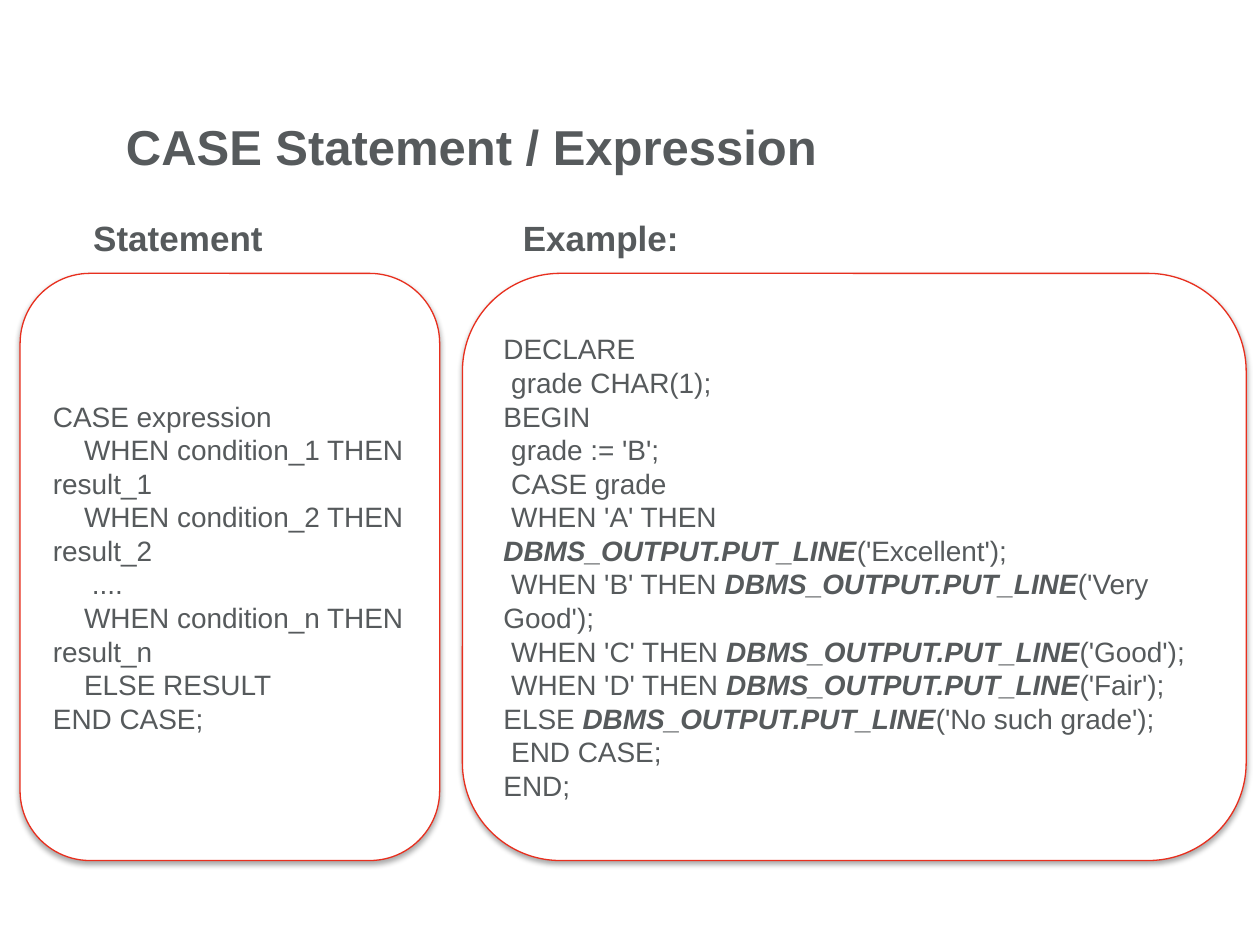
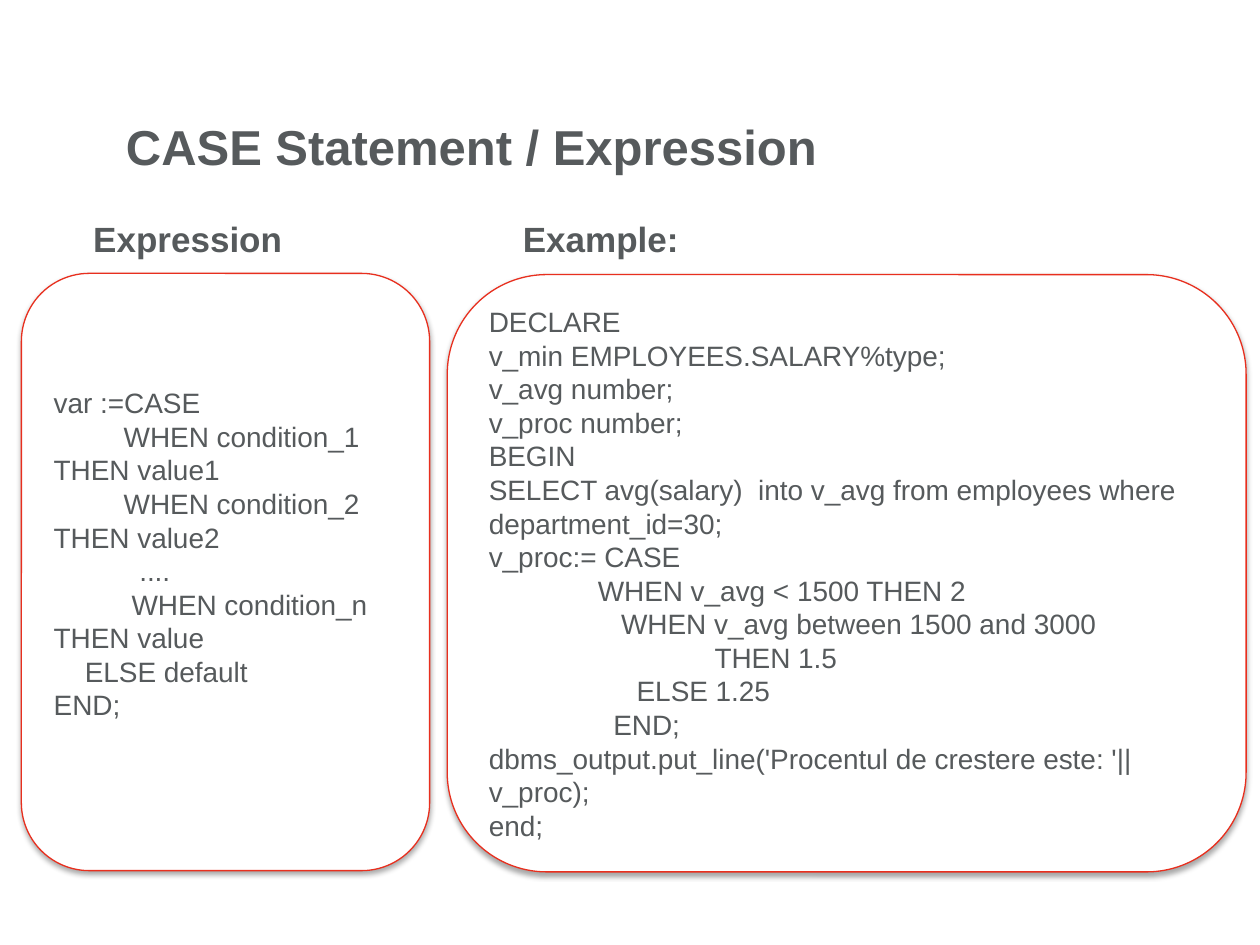
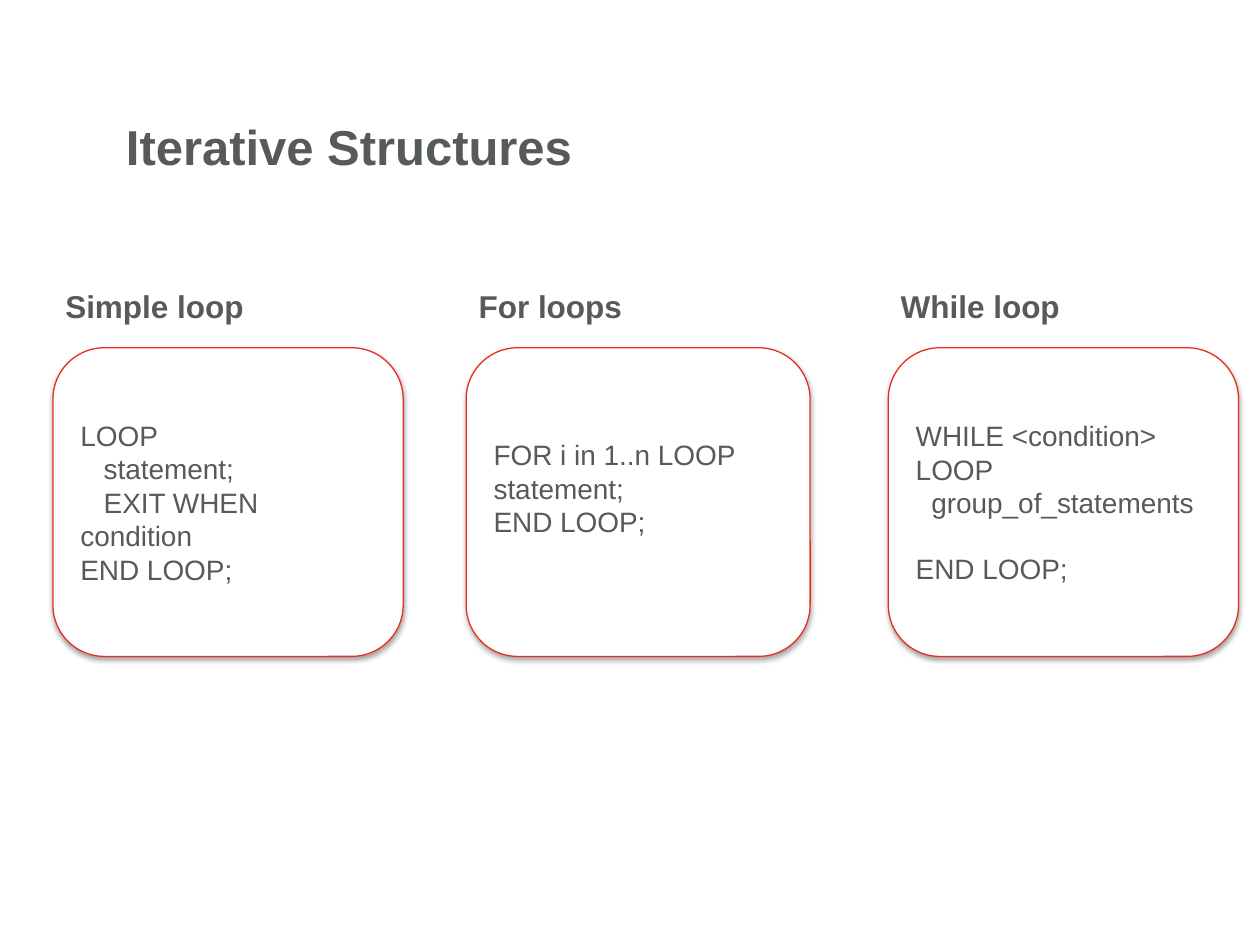
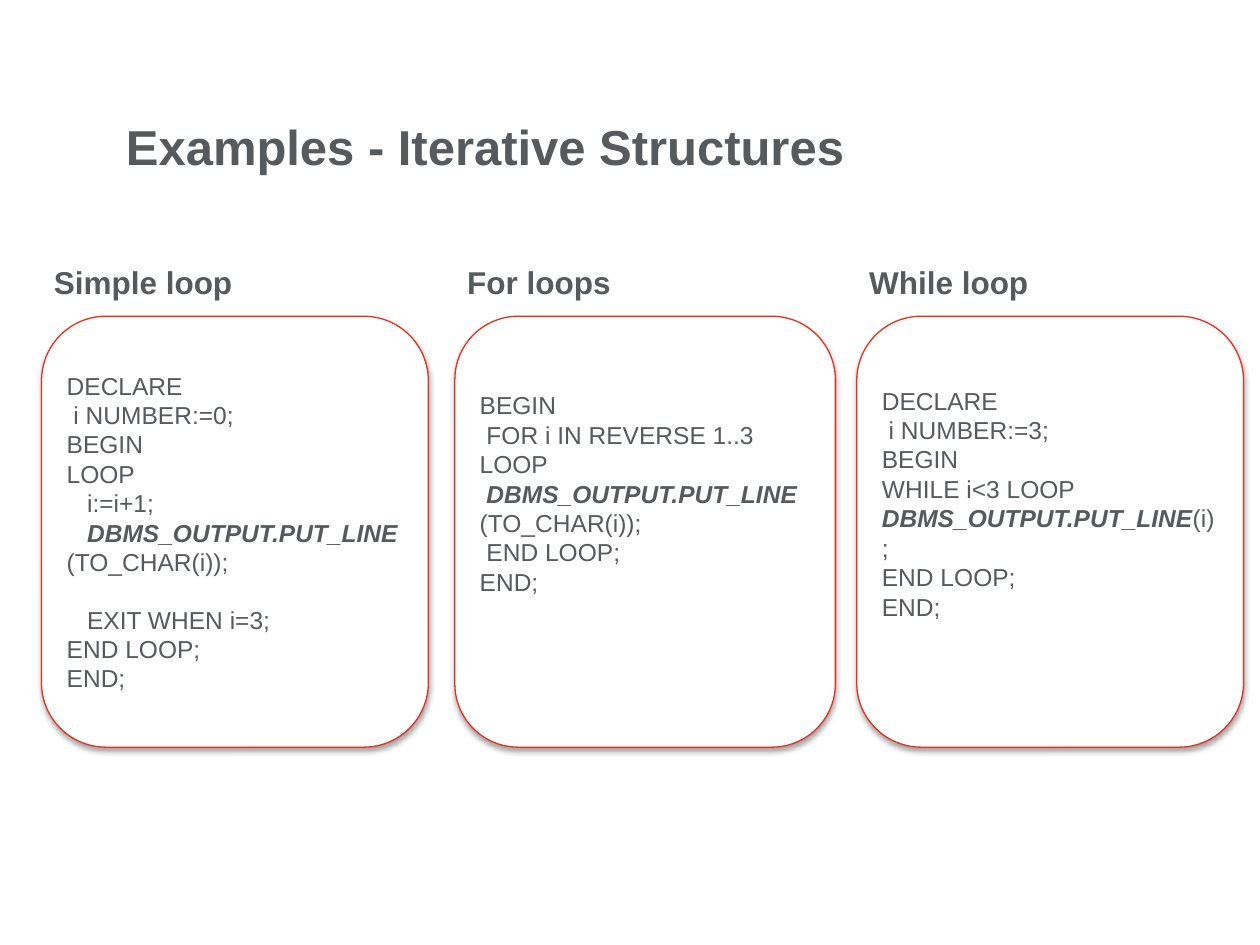
from lxml.etree import SubElement
from pptx import Presentation
from pptx.dml.color import RGBColor
from pptx.enum.shapes import MSO_SHAPE
from pptx.enum.text import MSO_ANCHOR, MSO_AUTO_SIZE, PP_ALIGN
from pptx.oxml.ns import qn
from pptx.util import Inches, Pt

GREY = "565A5C"
RED = "E82F1E"
WHITE = "FFFFFF"
FONT = "Arial"
SPACE_EM = 0.278
LINE_EM = 1.15
OUTPUT_CALL = "DBMS_OUTPUT.PUT_LINE"


def color(hex_value):
    return RGBColor.from_string(hex_value)


def add_run(paragraph, text, size, bold=False, italic=False):
    run = paragraph.add_run()
    run.text = text
    run.font.name = FONT
    run.font.size = Pt(size)
    run.font.bold = bold
    run.font.italic = italic
    run.font.color.rgb = color(GREY)


case_statement = """CASE expression
    WHEN condition_1 THEN result_1
    WHEN condition_2 THEN result_2
     ....
    WHEN condition_n THEN result_n
    ELSE RESULT
END CASE;"""

case_statement_example = """DECLARE
 grade CHAR(1);
BEGIN
 grade := 'B';
 CASE grade
 WHEN 'A' THEN DBMS_OUTPUT.PUT_LINE('Excellent');
 WHEN 'B' THEN DBMS_OUTPUT.PUT_LINE('Very Good');
 WHEN 'C' THEN DBMS_OUTPUT.PUT_LINE('Good');
 WHEN 'D' THEN DBMS_OUTPUT.PUT_LINE('Fair');
ELSE DBMS_OUTPUT.PUT_LINE('No such grade');
 END CASE;
END;"""

case_expression = """var :=CASE
         WHEN condition_1 THEN value1
         WHEN condition_2 THEN value2
           ....
          WHEN condition_n THEN value
    ELSE default
END;"""

case_expression_example = """DECLARE
v_min EMPLOYEES.SALARY%type;
v_avg number;
v_proc number;
BEGIN
SELECT avg(salary)  into v_avg from employees where
department_id=30;
v_proc:= CASE
              WHEN v_avg < 1500 THEN 2
                 WHEN v_avg between 1500 and 3000
                             THEN 1.5
                   ELSE 1.25
                END;
dbms_output.put_line('Procentul de crestere este: '|| v_proc);
end;"""

simple_loop = """LOOP
   statement;
   EXIT WHEN condition
END LOOP;"""

for_loop = """FOR i in 1..n LOOP
statement;
END LOOP;"""

while_loop = """WHILE <condition> LOOP
  group_of_statements

END LOOP;"""

simple_loop_example = """DECLARE
 i NUMBER:=0;
BEGIN
LOOP
   i:=i+1;
   DBMS_OUTPUT.PUT_LINE (TO_CHAR(i));

   EXIT WHEN i=3;
END LOOP;
END;"""

for_loop_example = """BEGIN
 FOR i IN REVERSE 1..3 LOOP
 DBMS_OUTPUT.PUT_LINE (TO_CHAR(i));
 END LOOP;
END;"""

while_loop_example = """DECLARE
 i NUMBER:=3;
BEGIN
WHILE i<3 LOOP
DBMS_OUTPUT.PUT_LINE(i);
END LOOP;
END;"""

# title, code size, side margin, panels (left, top, width, height, code, bottom margin)
lessons = [
    ("CASE Statement / Expression", 16, 0.1,
     [(0.16, 2.17, 3.33, 4.66, case_statement, 0.05),
      (3.67, 2.17, 6.22, 4.66, case_statement_example, 0.05)],
     [("Statement", 0.7, 1.67, 2.97, 0.43), ("Example:", 4.11, 1.67, 2.97, 0.43)]),
    ("CASE Statement / Expression", 16, 0.1,
     [(0.17, 2.17, 3.24, 4.74, case_expression, 0.34),
      (3.55, 2.18, 6.34, 4.74, case_expression_example, 0.05)],
     [("Expression", 0.7, 1.66, 2.97, 0.47), ("Example:", 4.11, 1.66, 2.97, 0.47)]),
    ("Iterative Structures", 16, 0.1,
     [(0.42, 2.76, 2.78, 2.45, simple_loop, 0.05),
      (3.7, 2.76, 2.73, 2.45, for_loop, 0.27),
      (7.05, 2.76, 2.78, 2.45, while_loop, 0.05)],
     [("Simple loop", 0.42, 2.23, 1.63, 0.4), ("For loops", 3.7, 2.23, 1.35, 0.4),
      ("While loop", 7.05, 2.23, 1.48, 0.4)]),
    ("Examples - Iterative Structures", 14, 0.05,
     [(0.33, 2.51, 3.07, 3.42, simple_loop_example, 0.05),
      (3.61, 2.51, 3.02, 3.42, for_loop_example, 0.66),
      (6.8, 2.51, 3.07, 3.42, while_loop_example, 0.5)],
     [("Simple loop", 0.33, 2.04, 1.63, 0.4), ("For loops", 3.61, 2.04, 1.35, 0.4),
      ("While loop", 6.8, 2.04, 1.48, 0.4)]),
]

deck = Presentation()
deck.slide_width = Inches(10)
deck.slide_height = Inches(7.5)

for title, code_size, side_margin, panels, headings in lessons:
    slide = deck.slides.add_slide(deck.slide_layouts[6])

    for left, top, width, height, code, bottom_margin in panels:
        panel = slide.shapes.add_shape(
            MSO_SHAPE.ROUNDED_RECTANGLE, Inches(left), Inches(top), Inches(width), Inches(height))
        panel.fill.solid()
        panel.fill.fore_color.rgb = color(WHITE)
        panel.line.color.rgb = color(RED)
        panel.line.width = Pt(0.75)
        panel.shadow.inherit = False
        effects = panel.element.spPr.find(qn("a:effectLst"))
        shadow = SubElement(effects, qn("a:outerShdw"), blurRad=str(Pt(3.1)), dist=str(Pt(1.8)),
                            dir="5400000", rotWithShape="0")
        shade = SubElement(shadow, qn("a:srgbClr"), val="000000")
        SubElement(shade, qn("a:alpha"), val="35000")

        frame = panel.text_frame
        frame.word_wrap = True
        frame.vertical_anchor = MSO_ANCHOR.MIDDLE
        frame.margin_left = frame.margin_right = Inches(side_margin)
        frame.margin_top = Inches(0.05)
        frame.margin_bottom = Inches(bottom_margin)
        paragraph = frame.paragraphs[0]
        gap = 0
        for number, line in enumerate(code.splitlines()):
            if not line:
                gap = code_size * LINE_EM
                continue
            if number:
                paragraph = frame.add_paragraph()
            paragraph.alignment = PP_ALIGN.LEFT
            paragraph.space_before = Pt(gap)
            gap = 0
            statement = line.lstrip()
            indent = Pt((len(line) - len(statement)) * SPACE_EM * code_size)
            properties = paragraph._p.get_or_add_pPr()
            properties.set("marL", "0")
            properties.set("indent", str(indent))
            for part in statement.partition(OUTPUT_CALL):
                if part:
                    emphasised = part == OUTPUT_CALL
                    add_run(paragraph, part, code_size, emphasised, emphasised)

    loose_headings = len(panels) == 3
    labels = [(title, 0.96, 0.86, 6, 0.6, 28, False)]
    for heading in headings:
        labels.append((*heading, 18 if loose_headings else 20, loose_headings))
    for text, left, top, width, height, size, loose in labels:
        place = Inches(left), Inches(top), Inches(width), Inches(height)
        if loose:
            label = slide.shapes.add_textbox(*place)
            frame = label.text_frame
            frame.word_wrap = False
            frame.auto_size = MSO_AUTO_SIZE.SHAPE_TO_FIT_TEXT
        else:
            label = slide.shapes.add_shape(MSO_SHAPE.RECTANGLE, *place)
            label.shadow.inherit = False
            label.fill.solid()
            label.fill.fore_color.rgb = color(WHITE)
            label.line.fill.background()
            frame = label.text_frame
            frame.word_wrap = True
            frame.vertical_anchor = MSO_ANCHOR.MIDDLE
            frame.margin_left = Inches(0.04)
            frame.margin_top = frame.margin_right = frame.margin_bottom = 0
        frame.paragraphs[0].alignment = PP_ALIGN.LEFT
        add_run(frame.paragraphs[0], text, size, bold=True)

deck.save("out.pptx")
